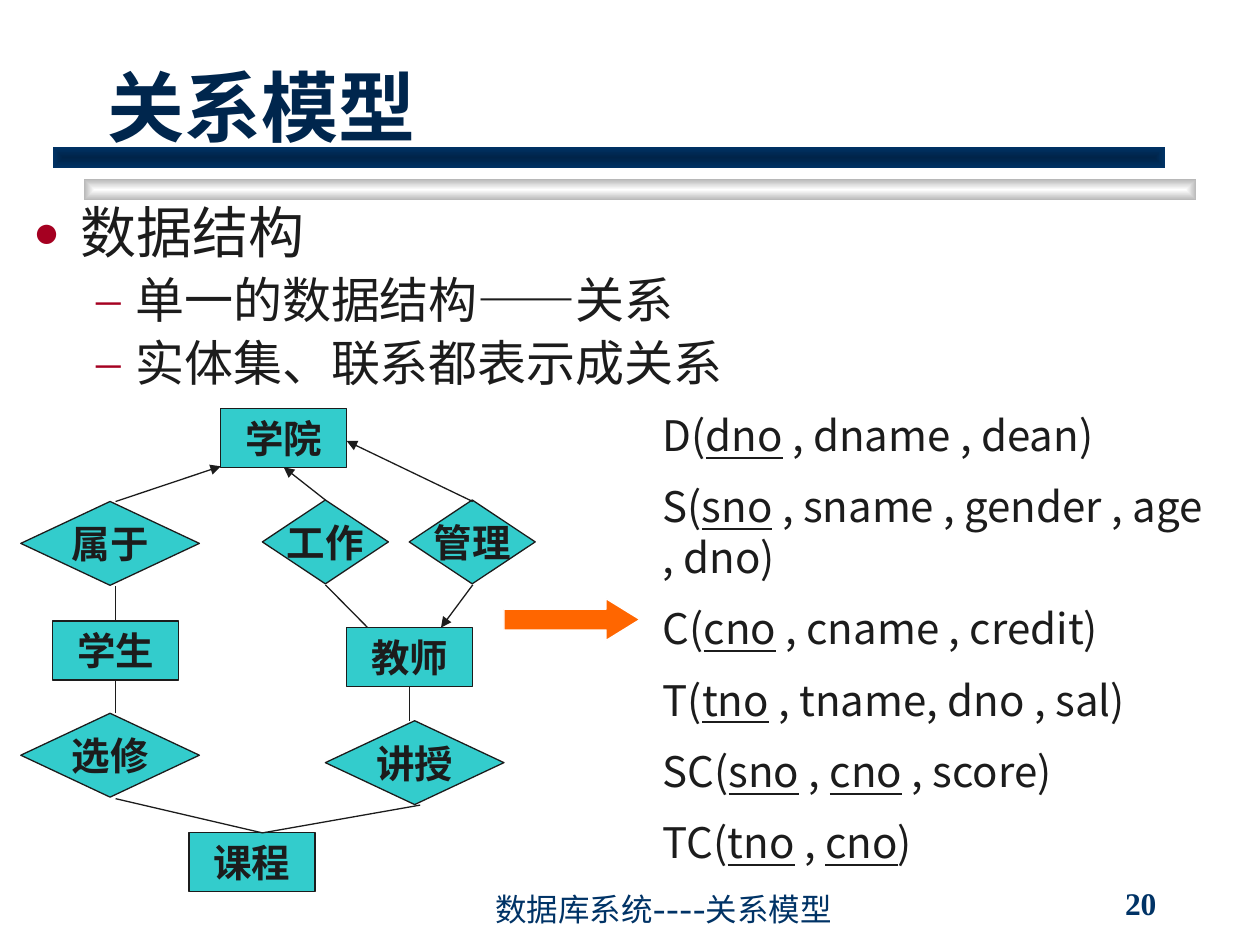
"""Build the slide on the relational model: an ER diagram mapped to relation schemas."""
from lxml import etree
from pptx import Presentation
from pptx import util as u
from pptx.dml import color
from pptx.enum import shapes, text
from pptx.oxml import ns

COLORS = {"ink": "1C1C1C", "navy": "003366", "title": "00264D", "deep": "002449",
          "white": "FFFFFF", "grey": "B6B6B6", "teal": "33CCCC", "orange": "FF6600",
          "red": "A50021"}
SANS, CJK, SERIF = "Cabin", "Noto Sans CJK JP", "Times New Roman"

BARS = [((1.69, 3.61), ("white", "grey")), ((1.06, 2.96), ("deep", "navy"))]
BULLETS = [
    dict(spans=[("数据结构", SANS)], size=32, indent=(0.95, -0.95), mark="●", scale=80),
    dict(spans=[("单一的数据结构", SANS), ("——", SERIF), ("关系", SANS)],
         size=28, indent=(2.06, -0.79), mark="–", scale=100),
    dict(spans=[("实体集、联系都表示成关系", SANS)],
         size=28, indent=(2.06, -0.79), mark="–", scale=100),
]
SCHEMAS = ["D(_dno_ , dname , dean)", "S(_sno_ , sname , gender , age , dno)",
           "C(_cno_ , cname , credit)", "T(_tno_ , tname, dno , sal)",
           "SC(_sno_ , _cno_ , score)", "TC(_tno_ , _cno_)"]
NODE_KINDS = {"entity": ("RECTANGLE", 2.54, 1.19), "wide": ("DIAMOND", 3.6, 1.69),
              "narrow": ("DIAMOND", 2.54, 1.69)}
NODES = [("学生", "entity", 1.06, 12.52), ("课程", "entity", 3.81, 16.79),
         ("选修", "wide", 0.42, 14.38), ("属于", "wide", 0.42, 10.11),
         ("学院", "entity", 4.45, 8.23), ("教师", "entity", 6.99, 12.65),
         ("讲授", "wide", 6.56, 14.53), ("工作", "narrow", 5.29, 10.08),
         ("管理", "narrow", 8.25, 10.08)]
LINKS = [(2.33, 12.5, 2.33, 11.81), (2.33, 14.38, 2.33, 13.7),
         (5.29, 16.79, 2.33, 16.1), (8.25, 14.53, 8.25, 13.84),
         (8.47, 16.23, 5.29, 16.79), (6.56, 11.79, 7.41, 12.65)]
ARROWS = [(2.33, 10.11, 4.45, 9.4), (6.56, 10.08, 5.72, 9.42),
          (9.53, 10.11, 6.99, 8.89), (9.53, 11.79, 8.89, 12.65)]


def rgb(name):
    return color.RGBColor.from_string(COLORS[name])


def add(parent, tag, **attributes):
    return etree.SubElement(parent, ns.qn(tag), attributes)


def write(para, words, *, font=SANS, size=18, ink="ink", bold=False, underline=False):
    span = para.add_run()
    span.text = words
    span.font.name, span.font.size = font, u.Pt(size)
    span.font.bold, span.font.underline = bold, underline
    span.font.color.rgb = rgb(ink)
    add(span.font._element, "a:ea", typeface=CJK if font == SERIF else font)


def text_frame(page, left, top, width, height, anchor="TOP", wrap=True):
    box = page.shapes.add_textbox(*map(u.Cm, (left, top, width, height)))
    frame = box.text_frame
    frame.word_wrap = wrap
    frame.vertical_anchor = text.MSO_ANCHOR[anchor]
    return frame


def paragraphs(frame, items):
    for index, item in enumerate(items):
        yield index, frame.add_paragraph() if index else frame.paragraphs[0], item


def add_shape(page, kind, left, top, width, height, fill, line=None):
    shape = page.shapes.add_shape(shapes.MSO_SHAPE[kind],
                                  *map(u.Cm, (left, top, width, height)))
    shape.shadow.inherit = False
    shape.fill.solid()
    shape.fill.fore_color.rgb = rgb(fill)
    if line:
        shape.line.color.rgb = rgb(line)
        shape.line.width = u.Pt(0.75)
    else:
        shape.line.fill.background()
    return shape


def add_bar(page, place, stops):
    bar = add_shape(page, "RECTANGLE", *place, 22.43, 0.43, stops[0])
    bar.fill.gradient()
    for stop, name, position in zip(bar.fill.gradient_stops, stops, (0, 1)):
        stop.color.rgb, stop.position = rgb(name), position
    gradient = bar._element.spPr.find(ns.qn("a:gradFill"))
    gradient.remove(gradient.find(ns.qn("a:lin")))
    center = add(gradient, "a:path", path="shape")
    add(center, "a:fillToRect", l="50000", t="50000", r="50000", b="50000")


def add_bullets(page):
    frame = text_frame(page, 0.42, 4.02, 24.55, 4.23)
    for index, para, item in paragraphs(frame, BULLETS):
        margin, hanging = item["indent"]
        properties = para._p.get_or_add_pPr()
        properties.set("marL", str(u.Cm(margin)))
        properties.set("indent", str(u.Cm(hanging)))
        para.alignment = text.PP_ALIGN.JUSTIFY
        para.line_spacing = 0.9
        if index:
            para.space_before = u.Pt(item["size"] * 0.2)
        add(add(properties, "a:buClr"), "a:srgbClr", val=COLORS["red"])
        add(properties, "a:buSzPct", val=str(item["scale"] * 1000))
        add(properties, "a:buFont", typeface=SERIF)
        add(properties, "a:buChar", char=item["mark"])
        for words, font in item["spans"]:
            write(para, words, font=font, size=item["size"])


def add_schemas(page):
    frame = text_frame(page, 13.11, 8.13, 11.43, 10.01)
    for index, para, schema in paragraphs(frame, SCHEMAS):
        if index:
            para.space_before = u.Pt(12)
        for part, words in enumerate(schema.split("_")):
            write(para, words, font=CJK, size=24, underline=part % 2 == 1)


def add_node(page, label, kind, left, top):
    preset, width, height = NODE_KINDS[kind]
    frame = add_shape(page, preset, left, top, width, height, "teal", "ink").text_frame
    frame.word_wrap = False
    frame.margin_top = frame.margin_bottom = 0
    frame.vertical_anchor = text.MSO_ANCHOR.MIDDLE
    para = frame.paragraphs[0]
    para.alignment = text.PP_ALIGN.CENTER
    write(para, label, font=CJK, size=22, bold=True)


def add_link(page, points, arrow=False):
    link = page.shapes.add_connector(shapes.MSO_CONNECTOR.STRAIGHT, *map(u.Cm, points))
    link.line.color.rgb = rgb("ink")
    link.line.width = u.Pt(0.75)
    if arrow:
        add(link.line._get_or_add_ln(), "a:tailEnd", type="triangle")
    add(link._element.spPr, "a:effectLst")


def main():
    deck = Presentation()
    deck.slide_width, deck.slide_height = u.Cm(25.4), u.Cm(19.05)
    page = deck.slides.add_slide(deck.slide_layouts[6])
    for place, stops in BARS:
        add_bar(page, place, stops)
    footer = text_frame(page, 9.73, 17.98, 10.36, 0.84, "BOTTOM")
    write(footer.paragraphs[0], "数据库系统----关系模型", ink="navy")
    title = text_frame(page, 1.91, 0.84, 21.59, 2.34, "BOTTOM")
    write(title.paragraphs[0], "关系模型", size=44, ink="title", bold=True)
    add_bullets(page)
    arrow = add_shape(page, "RIGHT_ARROW", 10.16, 12.07, 2.74, 0.84, "orange", "white")
    arrow.adjustments[0], arrow.adjustments[1] = 0.5, 0.81
    add_schemas(page)
    for node in NODES:
        add_node(page, *node)
    for points in LINKS:
        add_link(page, points)
    for points in ARROWS:
        add_link(page, points, arrow=True)
    number = text_frame(page, 22.43, 17.78, 2.74, 0.84, "MIDDLE", wrap=False)
    write(number.paragraphs[0], "20", font=SERIF, ink="navy", bold=True)
    deck.save("out.pptx")


if __name__ == "__main__":
    main()
